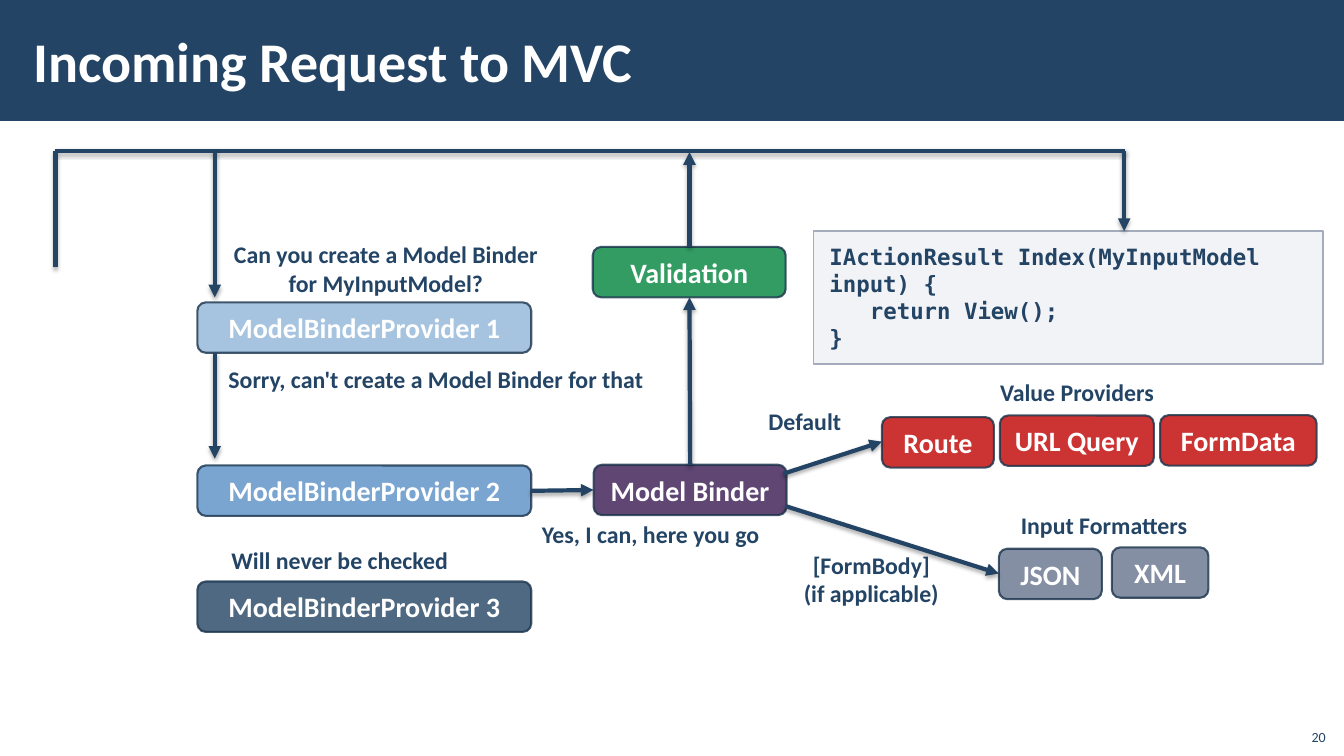
from lxml import etree
from pptx import Presentation
from pptx import util as u
from pptx.dml import color
from pptx.enum import shapes, text
from pptx.oxml import ns

Pt = u.Pt
COLORS = {
    "navy": "234465", "outline": "1A334C", "white": "FFFFFF",
    "light": "90B4D8", "mid": "588FC5", "purple": "381850",
    "green": "00843C", "red": "C00000", "slate": "67748E",
    "code": "C2C7D2", "code_line": "A3ABBC", "black": "000000",
}
LEFT, CENTER, RIGHT = text.PP_ALIGN.LEFT, text.PP_ALIGN.CENTER, text.PP_ALIGN.RIGHT
TOP, MIDDLE, BOTTOM = text.MSO_ANCHOR.TOP, text.MSO_ANCHOR.MIDDLE, text.MSO_ANCHOR.BOTTOM
SANS, MONO = "Calibri", "DejaVu Sans Mono"
BOX_H = 36
BUS_Y = 107.8


def rgb(name):
    return color.RGBColor.from_string(COLORS[name])


def sub(parent, tag, **attrs):
    return etree.SubElement(parent, ns.qn(tag), {k: str(v) for k, v in attrs.items()})


def set_alpha(parent, percent):
    for clr in parent.iter(ns.qn("a:srgbClr")):
        sub(clr, "a:alpha", val=percent * 1000)


def write(sp, lines, size, fill="navy", align=CENTER, anchor=TOP,
          insets=(7.2, 3.6), wrap=True, font=SANS, bold=True):
    tf = sp.text_frame
    x, y = map(Pt, insets)
    frame = {"word_wrap": wrap, "vertical_anchor": anchor, "margin_left": x,
             "margin_right": x, "margin_top": y, "margin_bottom": y}
    for name, value in frame.items():
        setattr(tf, name, value)
    for i, line in enumerate(lines):
        p = tf.add_paragraph() if i else tf.paragraphs[0]
        p.text, p.alignment = line, align
        for r in p.runs:
            for name, value in {"size": Pt(size), "name": font, "bold": bold}.items():
                setattr(r.font, name, value)
            r.font.color.rgb = rgb(fill)


def add_text(s, x, y, w, h, lines, size, **style):
    sp = s.shapes.add_textbox(*map(Pt, (x, y, w, h)))
    write(sp, lines, size, **style)


def add_panel(s, kind, x, y, w, h, fill, line=None, width=1, fill_alpha=100, line_alpha=100):
    sp = s.shapes.add_shape(kind, *map(Pt, (x, y, w, h)))
    sp.shadow.inherit = False
    sp.fill.solid()
    sp.fill.fore_color.rgb = rgb(fill)
    spPr = sp._element.spPr
    if fill_alpha < 100:
        set_alpha(spPr.find(ns.qn("a:solidFill")), fill_alpha)
    if line:
        sp.line.width = Pt(width)
        sp.line.color.rgb = rgb(line)
        if line_alpha < 100:
            set_alpha(spPr.find(ns.qn("a:ln")), line_alpha)
    else:
        sp.line.fill.background()
    return sp


def add_box(s, x, y, w, label, fill):
    sp = add_panel(s, shapes.MSO_SHAPE.ROUNDED_RECTANGLE, x, y, w, BOX_H, fill,
                   "outline", 1.5, 80, 80)
    write(sp, [label], 20, fill="white", anchor=MIDDLE)


def add_line(s, x1, y1, x2, y2, arrow=True):
    cx = s.shapes.add_connector(shapes.MSO_CONNECTOR.STRAIGHT, *map(Pt, (x1, y1, x2, y2)))
    cx.line.width = Pt(3)
    cx.line.color.rgb = rgb("navy")
    spPr = cx._element.spPr
    if arrow:
        sub(spPr.find(ns.qn("a:ln")), "a:tailEnd", type="triangle")
    # Soft shadow straight below the line
    shadow = sub(sub(spPr, "a:effectLst"), "a:outerShdw", blurRad=Pt(3.1), dist=Pt(1.8),
                 dir=90 * 60000, rotWithShape=0)
    sub(shadow, "a:srgbClr", val=COLORS["black"])
    set_alpha(shadow, 35)


def add_label(s, x, y, w, *lines):
    add_text(s, x, y, w, 28 if len(lines) == 1 else 48, lines, 17, wrap=False)


def add_code(s, x, y, w, h, lines):
    sp = add_panel(s, shapes.MSO_SHAPE.RECTANGLE, x, y, w, h, "code", "code_line",
                   fill_alpha=20)
    write(sp, lines, 16, align=LEFT, insets=(11.5, 8.6), font=MONO)
    # The method body is indented by three characters
    body = sp.text_frame.paragraphs[1]._p.get_or_add_pPr()
    body.set("marL", str(Pt(28.9)))
    body.set("indent", "0")


def main():
    prs = Presentation()
    prs.slide_width, prs.slide_height = Pt(960), Pt(540)
    s = prs.slides.add_slide(prs.slide_layouts[6])

    # Title band
    add_panel(s, shapes.MSO_SHAPE.RECTANGLE, 0, 0, 960, 86.4, "navy")
    add_text(s, 15.1, 7.9, 765, 70, ["Incoming Request to MVC"], 40, fill="white",
             align=LEFT, anchor=MIDDLE, insets=(8.6, 2.9))

    # Request line across the top
    add_line(s, 39.6, BUS_Y, 803.5, BUS_Y, arrow=False)
    add_line(s, 39.6, 190.8, 39.6, BUS_Y, arrow=False)

    # Boxes
    for x, y, w, label, fill in [
        (141, 216, 238.5, "ModelBinderProvider 1", "light"),
        (141, 332.5, 238.5, "ModelBinderProvider 2", "mid"),
        (141, 415.4, 238.5, "ModelBinderProvider 3", "navy"),
        (424, 332, 137.8, "Model Binder", "purple"),
        (423.4, 176.4, 137.8, "Validation", "green"),
        (630, 298, 80, "Route", "red"),
        (714.2, 296.8, 110, "URL Query", "red"),
        (828.7, 296.6, 111.8, "FormData", "red"),
        (713.5, 392, 73.5, "JSON", "slate"),
        (794.2, 391, 69, "XML", "slate"),
    ]:
        add_box(s, x, y, w, label, fill)

    # Action method
    add_code(s, 581, 165, 364, 95,
             ["IActionResult Index(MyInputModel input) {", "return View();", "}"])

    # Arrows
    for ends in [
        (803, BUS_Y, 803, 165),
        (153.4, BUS_Y, 153.4, 212.4),
        (153.4, 252, 153.4, 327.6),
        (379.5, 350.6, 424, 350),
        (493, 332, 492.5, 212.4),
        (492.5, 176.4, 492.5, 108.7),
        (559.5, 338.4, 630, 315.5),
        (561, 361.5, 713.5, 409.7),
    ]:
        add_line(s, *ends)

    # Labels
    for label in [
        (154.8, 257, 313.2, "Sorry, can't create a Model Binder for that"),
        (157.7, 167.8, 236, "Can you create a Model Binder", "for MyInputModel?"),
        (157.7, 386, 170, "Will never be checked"),
        (379.5, 368, 170.6, "Yes, I can, here you go"),
        (566.6, 389.5, 111.6, "[FormBody]", "(if applicable)"),
        (541.4, 287.3, 67, "Default"),
        (721.4, 361.4, 134.6, "Input Formatters"),
        (707, 266.4, 124.6, "Value Providers"),
    ]:
        add_label(s, *label)

    # Slide number
    add_text(s, 925.2, 512.6, 28.8, 23, ["20"], 10, align=RIGHT, anchor=BOTTOM, bold=False)

    prs.save("out.pptx")


if __name__ == "__main__":
    main()
